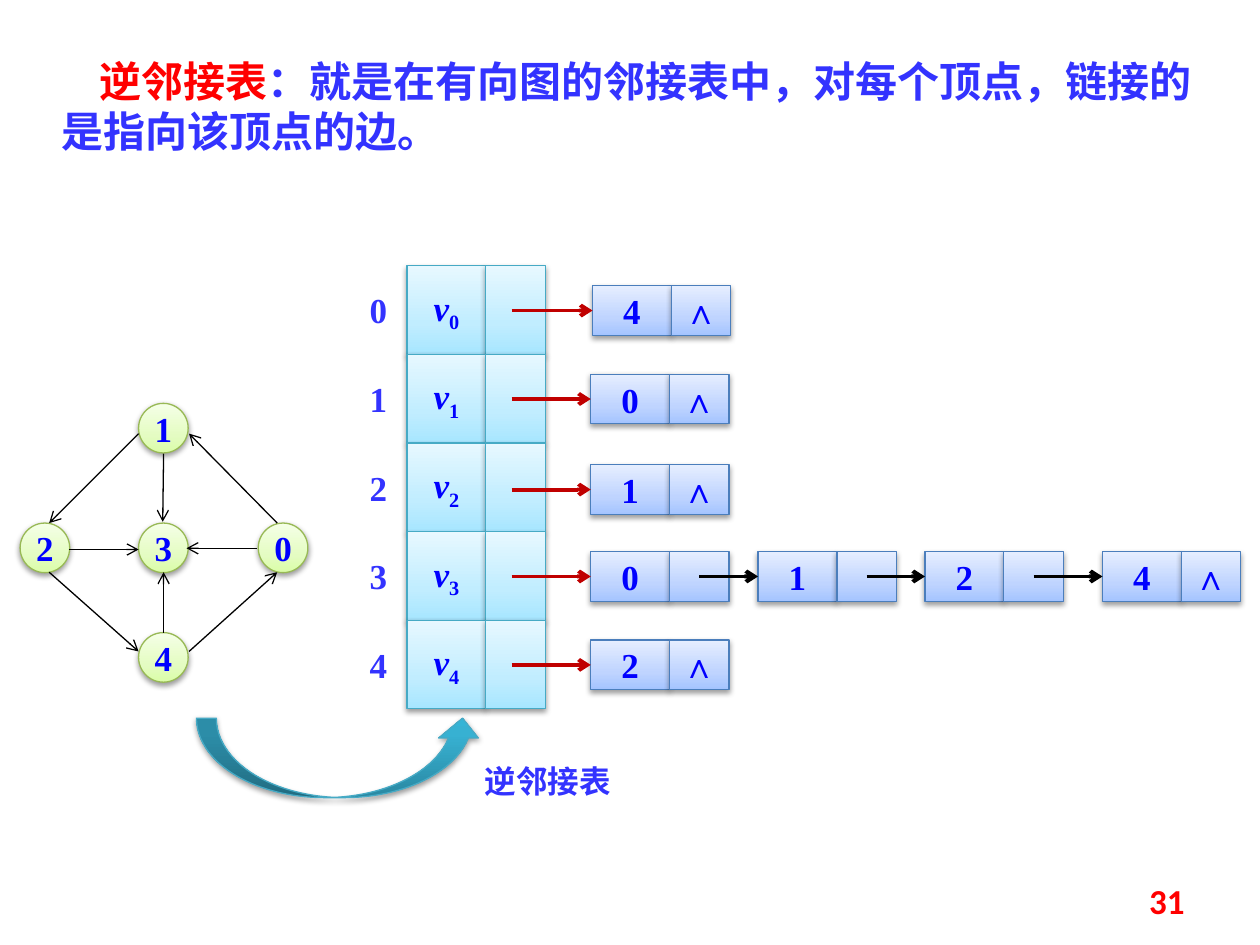
from dataclasses import dataclass

from lxml import etree
from pptx import Presentation
from pptx.dml.color import RGBColor
from pptx.enum import shapes as kinds, text as t
from pptx.oxml import ns
from pptx.util import Pt


@dataclass(frozen=True)
class Theme:
    """Colours, gradients (bottom to top), fonts and type sizes."""
    ink: str = "0000FF"
    blue: str = "3333FF"
    red: str = "FF0000"
    black: str = "000000"
    link: str = "C00000"
    green: tuple = ("98B955", 35, "DAFDA7", "E4FCC2", "F5FFE7")
    cell: tuple = ("4B7EBC", 35, "A4C4FF", "BFD4FF", "E6EEFF")
    aqua: tuple = ("46AAC5", 35, "A7E6FF", "C1EDFF", "E7F8FF")
    teal: tuple = ("46AAC5", 80, "2A88A2", "37B1D2", "34B4D6")
    serif: str = "Times New Roman"
    sans: str = "Calibri"
    cjk: str = "Noto Sans CJK SC"
    head: int = 24
    body: int = 20
    note: int = 18


TH = Theme()
SHAPE = kinds.MSO_SHAPE
ALIGN = t.PP_ALIGN
SIDE = 28.35
DATA_W, NEXT_W, ROW_H = 45, 34, 50.65
END = "∧"


def rgb(code):
    return RGBColor.from_string(code)


def add(parent, tag, **attrs):
    return etree.SubElement(parent, ns.qn(tag), attrs)


def style(para, face, size, color, align=ALIGN.CENTER, bold=True):
    para.alignment = align
    font = para.font
    font.name, font.size, font.bold = face, Pt(size), bold
    font.color.rgb = rgb(color)
    props = para._p.get_or_add_pPr().find(ns.qn("a:defRPr"))
    add(props, "a:ea", typeface=face)


def block(slide, kind, box, look, words="", sub=""):
    """Add a shaded shape with an optional centred word and subscript."""
    edge, mid, *tones = look
    shape = slide.shapes.add_shape(kind, *map(Pt, box))
    shape.fill.gradient()
    shape.fill.gradient_angle = 90
    stops = shape._element.spPr.find(".//" + ns.qn("a:gsLst"))
    for stop in list(stops):
        stops.remove(stop)
    for pos, tone in zip((0, mid, 100), tones):
        stop = add(stops, "a:gs", pos=str(pos * 1000))
        add(stop, "a:srgbClr", val=tone)
    shape.line.color.rgb = rgb(edge)
    shape.line.width = Pt(0.75)

    shape.shadow.inherit = False
    effects = shape._element.spPr.find(ns.qn("a:effectLst"))
    shade = add(effects, "a:outerShdw", blurRad="40000", dist="20000",
                dir="5400000", rotWithShape="0")
    add(add(shade, "a:srgbClr", val=TH.black), "a:alpha", val="38000")

    if words:
        frame = shape.text_frame
        frame.word_wrap = False
        frame.vertical_anchor = t.MSO_ANCHOR.MIDDLE
        para = frame.paragraphs[0]
        run = para.add_run()
        run.text = words
        style(para, TH.serif, TH.body, TH.ink)
        if sub:
            run.font.italic = True
            low = para.add_run()
            low.text = sub
            low._r.get_or_add_rPr().set("baseline", "-25000")
    return shape


def arrow(slide, start, end, color, width, target=None):
    """Draw an arrow, joined to the left side of target if there is one."""
    line = slide.shapes.add_connector(
        kinds.MSO_CONNECTOR.STRAIGHT, *map(Pt, (*start, *end)))
    if target is not None:
        line.end_connect(target, 1)
    line.line.color.rgb = rgb(color)
    line.line.width = Pt(width)
    add(line.line._get_or_add_ln(), "a:tailEnd", type="arrow")
    add(line._element.spPr, "a:effectLst")


def label(slide, box, parts, face, size, color, align=ALIGN.LEFT,
          inset=None, indent=0, grow=True):
    """Add a text box; parts are pairs of words and an own colour or None."""
    frame = slide.shapes.add_textbox(*map(Pt, box)).text_frame
    frame.word_wrap = True
    if grow:
        frame.auto_size = t.MSO_AUTO_SIZE.SHAPE_TO_FIT_TEXT
    else:
        frame.vertical_anchor = t.MSO_ANCHOR.MIDDLE
    if inset is not None:
        frame.margin_left = frame.margin_right = Pt(inset)
        frame.margin_top = frame.margin_bottom = Pt(inset)
    para = frame.paragraphs[0]
    if indent:
        para._p.get_or_add_pPr().set("indent", str(Pt(indent)))
    for words, own in parts:
        run = para.add_run()
        run.text = words
        if own:
            run.font.color.rgb = rgb(own)
    style(para, face, size, color, align)


def graph(slide, left, top):
    nodes = {"1": (67.7, 0), "3": (67.7, 68.4), "2": (0, 68.4),
             "0": (136.1, 68.4), "4": (67.7, 131)}
    edges = [
        ((67.7, 17.3), (16.6, 68.4)),
        ((146.9, 68.4), (96.5, 17.3)),
        ((28.1, 83.5), (67.7, 83.5)),
        ((135.4, 82.8), (95.1, 82.8)),
        ((82, 28.8), (81.5, 67.7)),
        ((16.6, 96.5), (67.7, 141.8)),
        ((82, 131), (82, 96.5)),
        ((96.5, 141.8), (146.9, 96.5)),
    ]
    for name, (x, y) in nodes.items():
        block(slide, SHAPE.OVAL, (left + x, top + y, SIDE, SIDE),
              TH.green, name)
    for edge in edges:
        start, end = [(left + x, top + y) for x, y in edge]
        arrow(slide, start, end, TH.black, 0.75)


def chain(slide, lefts, top, names):
    """Place one linked list and return its first cell."""
    mid = top + SIDE / 2
    first = None
    for i, (x, name) in enumerate(zip(lefts, names)):
        last = i == len(names) - 1
        cell = block(slide, SHAPE.RECTANGLE, (x, top, DATA_W, SIDE),
                     TH.cell, name)
        block(slide, SHAPE.RECTANGLE, (x + DATA_W, top, NEXT_W, SIDE),
              TH.cell, END if last else "")
        if first is None:
            first = cell
        else:
            start = lefts[i - 1] + DATA_W + NEXT_W / 2
            arrow(slide, (start, mid), (x, mid), TH.black, 2.25, cell)
    return first


def lists(slide, left, top):
    """Place the vertex table, its row numbers and the linked lists."""
    lefts = (135.4, 231, 326.4, 427.8)
    rows = [("4", 1, 11.5), ("0", 0, 11.4), ("1", 0, 12.5),
            ("0124", 0, 11.5), ("2", 0, 11.4)]
    for i, (names, shift, drop) in enumerate(rows):
        y = top + i * ROW_H
        spots = [left + x + shift for x in lefts]
        first = chain(slide, spots, y + drop, names)
        x = left + 30.4
        block(slide, SHAPE.RECTANGLE, (x, y, DATA_W, ROW_H),
              TH.aqua, "v", str(i))
        block(slide, SHAPE.RECTANGLE, (x + DATA_W, y, NEXT_W, ROW_H), TH.aqua)
        label(slide, (left, y + 13.2, 28, 24.3), [(str(i), None)],
              TH.serif, TH.body, TH.blue, ALIGN.CENTER, inset=0)
        mid = y + drop + SIDE / 2
        arrow(slide, (left + 90.2, mid), (spots[0], mid),
              TH.link, 2.25, first)


def main():
    deck = Presentation()
    deck.slide_width, deck.slide_height = Pt(720), Pt(540)
    slide = deck.slides.add_slide(deck.slide_layouts[6])
    graph(slide, 11.5, 230.5)
    label(slide, (28, 28, 675.5, 65.5),
          [("逆邻接表", TH.red),
           ("：就是在有向图的邻接表中，对每个顶点，链接的是指向该顶点的边。", None)],
          TH.cjk, TH.head, TH.blue, indent=21.8)
    lists(slide, 202.2, 151.8)
    block(slide, SHAPE.CURVED_UP_ARROW, (112.3, 410.4, 163.4, 45.4), TH.teal)
    label(slide, (270, 432, 106.5, 29), [("逆邻接表", None)],
          TH.cjk, TH.note, TH.blue)
    label(slide, (516, 500.4, 168, 28.8), [("31", None)],
          TH.sans, TH.body, TH.red, ALIGN.RIGHT, grow=False)
    deck.save("out.pptx")


if __name__ == "__main__":
    main()
